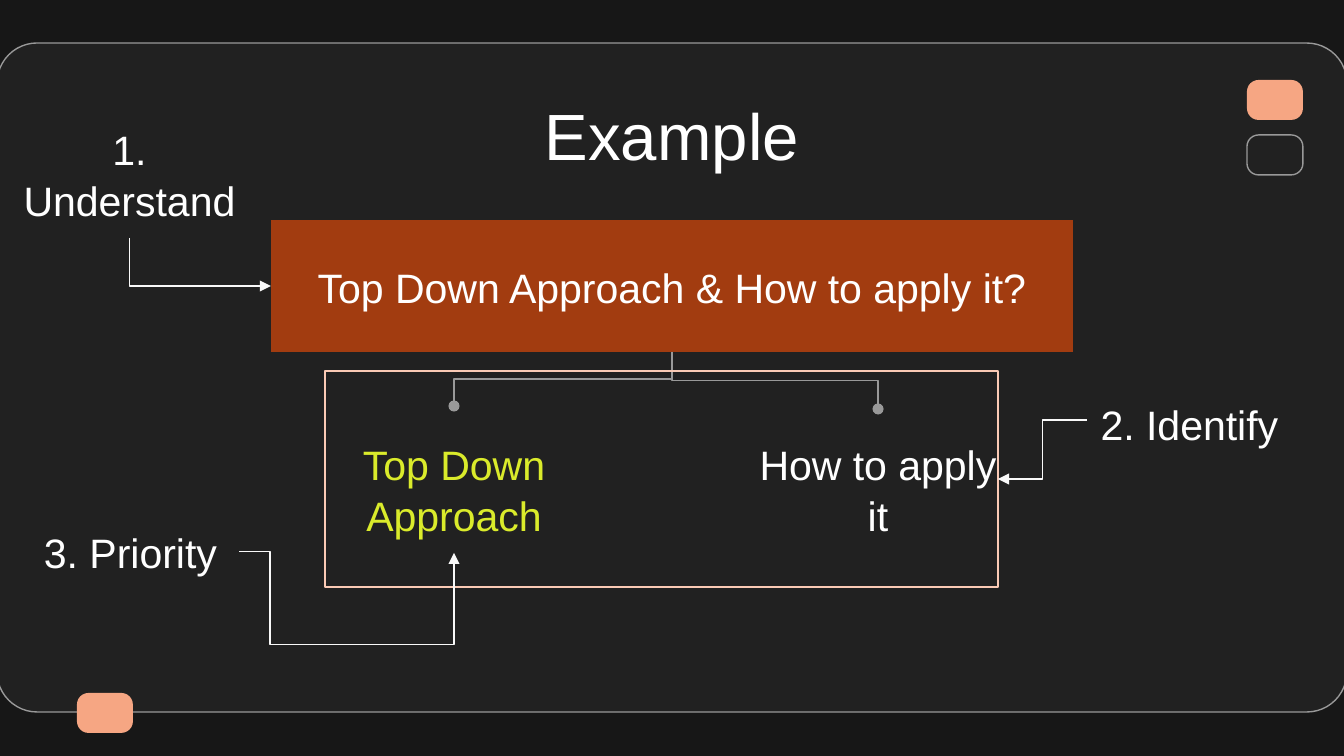
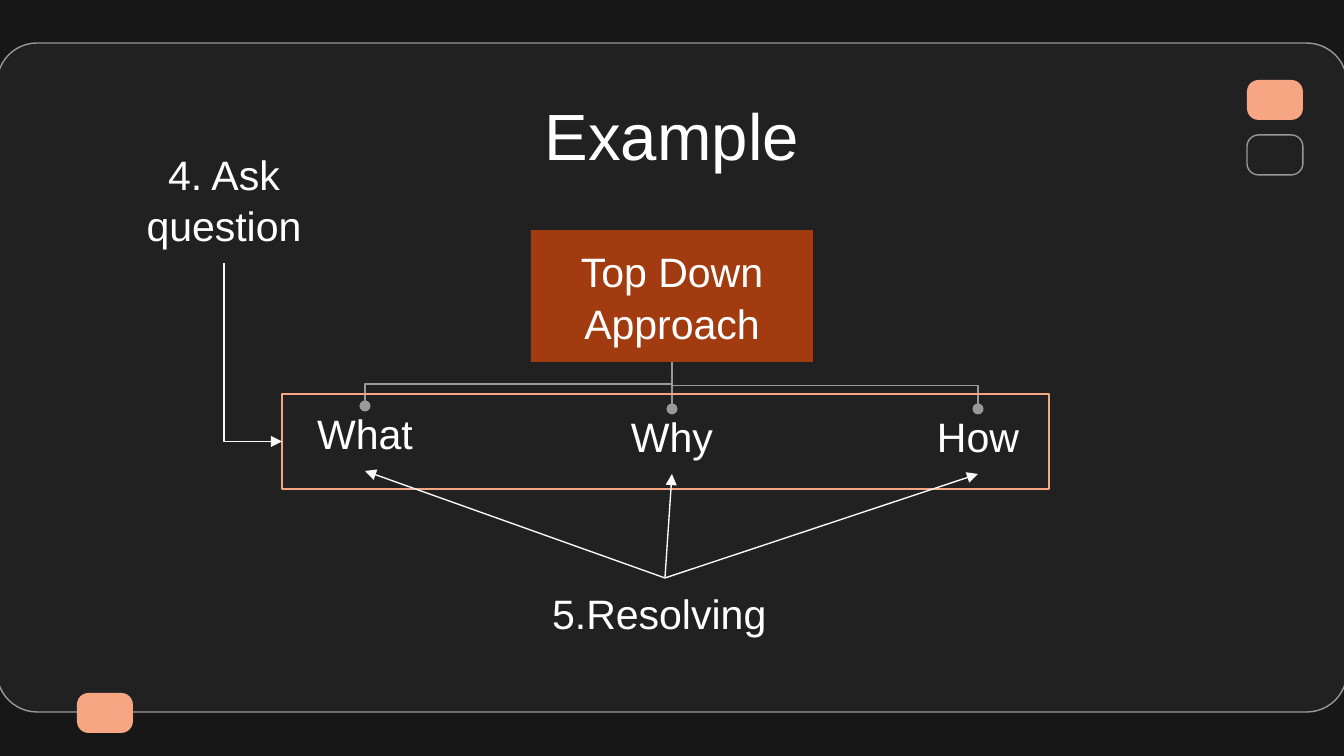
from lxml.etree import SubElement
from pptx import Presentation
from pptx.dml.color import RGBColor
from pptx.enum.shapes import MSO_CONNECTOR as Connector, MSO_SHAPE as Preset
from pptx.enum.text import MSO_ANCHOR as Anchor, PP_ALIGN as Align
from pptx.oxml.ns import qn
from pptx.util import Pt

PX = 914400 / 134.4  # EMU in one pixel
FONT = "Arial"
COLORS = {
    "background": "171717",
    "card": "212121",
    "gray": "999999",
    "peach": "F6A683",
    "pale_peach": "FACAB5",
    "rust": "A23C10",
    "lime": "DAEB2B",
    "white": "FFFFFF",
    "arrow": "F9F9F9",
}
TOP, LEFT, BOTTOM, RIGHT = range(4)  # connection sites of a rectangle


def px(length):
    return round(length * PX)


def color(name):
    return RGBColor.from_string(COLORS[name])


# Text and shapes

def write(shape, text, *, size=22, fill="white", anchor=Anchor.BOTTOM):
    frame = shape.text_frame
    frame.word_wrap = True
    frame.vertical_anchor = anchor
    frame.margin_left = frame.margin_right = px(13)
    frame.margin_top = frame.margin_bottom = px(13)
    paragraph = frame.paragraphs[0]
    paragraph.alignment = Align.CENTER
    paragraph.line_spacing = 1.04
    run = paragraph.add_run()
    run.text = text
    run.font.name = FONT
    run.font.size = Pt(size)
    run.font.color.rgb = color(fill)


def add_label(slide, text, box, **text_format):
    label = slide.shapes.add_textbox(*map(px, box))
    write(label, text, **text_format)
    return label


def add_box(slide, box, *, preset=Preset.RECTANGLE, corner=None, fill=None, line=None):
    shape = slide.shapes.add_shape(preset, *map(px, box))
    shape.shadow.inherit = False
    if corner is not None:
        shape.adjustments[0] = corner
    if fill:
        shape.fill.solid()
        shape.fill.fore_color.rgb = color(fill)
    else:
        shape.fill.background()
    if line:
        shape.line.color.rgb = color(line)
        shape.line.width = Pt(0.75)
    else:
        shape.line.fill.background()
    return shape


def add_topic(slide, text, box):
    topic = add_box(slide, box, fill="rust")
    write(topic, text, anchor=Anchor.MIDDLE)
    return topic


# Connectors

def site_point(shape, site):
    across = {LEFT: 0, RIGHT: 1}.get(site, 0.5)
    down = {TOP: 0, BOTTOM: 1}.get(site, 0.5)
    return round(shape.left + across * shape.width), round(shape.top + down * shape.height)


def turn_downward(connector, start, end):
    """Turn an elbow so that it leaves its start downward."""
    run, drop = abs(end[0] - start[0]), end[1] - start[1]
    connector.width, connector.height = drop, run
    connector.left = (start[0] + end[0] - drop) // 2
    connector.top = (start[1] + end[1] - run) // 2
    frame = connector.element.spPr.find(qn("a:xfrm"))
    frame.attrib.pop("flipV", None)
    frame.attrib.pop("flipH", None)
    if end[0] > start[0]:
        frame.set("flipH", "1")
        frame.set("rot", str(270 * 60000))
    else:
        frame.set("rot", str(90 * 60000))


def connect(slide, source, source_site, target, target_site, *, bends=3,
            line="arrow", tail="triangle", corner=None):
    start, end = site_point(source, source_site), site_point(target, target_site)
    kind = Connector.ELBOW if bends else Connector.STRAIGHT
    connector = slide.shapes.add_connector(kind, *start, *end)
    connector.begin_connect(source, source_site)
    connector.end_connect(target, target_site)
    connector.line.color.rgb = color(line)
    connector.line.width = Pt(0.75)
    properties = connector.element.spPr
    if bends:
        geometry = properties.find(qn("a:prstGeom"))
        geometry.set("prst", f"bentConnector{bends}")
        if source_site == BOTTOM:
            turn_downward(connector, start, end)
        if corner:
            adjustments = geometry.find(qn("a:avLst"))
            for number, axis in enumerate((0, 1), 1):
                share = (px(corner[axis]) - start[axis]) / (end[axis] - start[axis])
                SubElement(adjustments, qn("a:gd"), name=f"adj{number}",
                           fmla=f"val {round(share * 100000)}")
    SubElement(properties.find(qn("a:ln")), qn("a:tailEnd"), type=tail)
    SubElement(properties, qn("a:effectLst"))


def branch(slide, topic, children):
    for child in children:
        connect(slide, topic, BOTTOM, child, TOP, line="gray", tail="oval")


# Slides

def add_slide(presentation, title):
    slide = presentation.slides.add_slide(presentation.slide_layouts[6])
    slide.background.fill.solid()
    slide.background.fill.fore_color.rgb = color("background")
    rounded = Preset.ROUNDED_RECTANGLE
    add_box(slide, (-3, 43, 1350, 669), preset=rounded, corner=0.06,
            fill="card", line="gray")
    for left, top, fill, line in ((77, 693, "peach", None),
                                  (1247, 80, "peach", None),
                                  (1247, 135, None, "gray")):
        add_box(slide, (left, top, 56, 40), preset=rounded, corner=0.29,
                fill=fill, line=line)
    add_label(slide, title, (105, 79, 1134, 85), size=35, anchor=Anchor.TOP)
    return slide


def build_breakdown(presentation):
    slide = add_slide(presentation, "Example")
    topic = add_topic(slide, "Top Down Approach & How to apply it?", (271, 220, 802, 132))
    how = add_label(slide, "How to apply it", (737, 409, 282, 144))
    approach = add_label(slide, "Top Down Approach", (301, 406, 306, 147), fill="lime")
    branch(slide, topic, (approach, how))
    frame = add_box(slide, (325, 371, 673, 216), line="pale_peach")

    # Steps 1 to 3
    understand = add_label(slide, "1. Understand", (-11, 95, 281, 143))
    connect(slide, understand, BOTTOM, topic, LEFT, bends=2)
    identify = add_label(slide, "2. Identify", (1087, 378, 205, 84))
    connect(slide, identify, LEFT, frame, RIGHT)
    priority = add_label(slide, "3. Priority", (22, 513, 217, 77))
    connect(slide, priority, RIGHT, approach, BOTTOM, bends=4, corner=(270, 646))


def build_questions(presentation):
    slide = add_slide(presentation, "Example")
    topic = add_topic(slide, "Top Down Approach", (531, 230, 282, 132))
    questions = [add_label(slide, text, (left, top, 282, 65))
                 for text, left, top in (("What", 224, 406), ("Why", 531, 409),
                                         ("How", 837, 409))]
    branch(slide, topic, questions)
    frame = add_box(slide, (282, 394, 767, 95), line="peach")

    # Steps 4 and 5
    ask = add_label(slide, "4. Ask question", (83, 120, 282, 143))
    connect(slide, ask, BOTTOM, frame, LEFT, bends=2)
    resolving = add_label(slide, "5.Resolving ", (532, 578, 266, 73))
    for question in questions:
        connect(slide, resolving, TOP, question, BOTTOM, bends=0)


def main():
    presentation = Presentation()
    presentation.slide_width, presentation.slide_height = px(1344), px(756)
    build_breakdown(presentation)
    build_questions(presentation)
    presentation.save("out.pptx")


if __name__ == "__main__":
    main()
